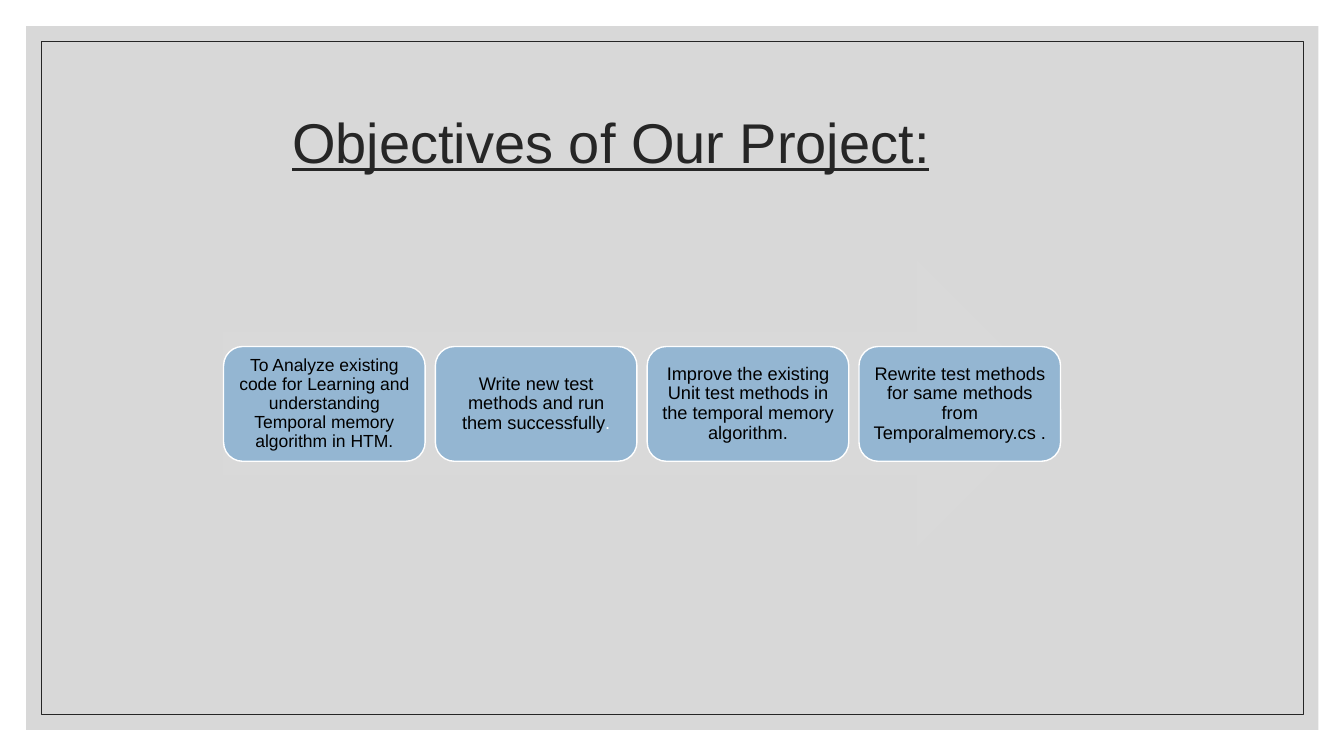
from lxml.etree import SubElement
from pptx import Presentation
from pptx.dml.color import RGBColor
from pptx.enum.shapes import MSO_SHAPE
from pptx.enum.text import MSO_ANCHOR, PP_ALIGN
from pptx.oxml.ns import qn
from pptx.util import Pt


class Deck:
    """Holds the style and the current slide, and draws each kind of element."""

    font = "Arial"
    hues = {"panel": "BFBFBF", "ink": "262626", "arrow": "D9D9D9",
            "card": "94B6D2", "white": "FFFFFF", "black": "000000"}

    def __init__(self, width, height):
        self.prs = Presentation()
        self.prs.slide_width, self.prs.slide_height = Pt(width), Pt(height)
        self.slide = self.prs.slides.add_slide(self.prs.slide_layouts[6])

    def hue(self, name):
        return RGBColor.from_string(self.hues[name])

    def shape(self, kind, box, fill=None, line=None, width=1, alpha=None):
        item = self.slide.shapes.add_shape(kind, *map(Pt, box))
        item.shadow.inherit = False
        if fill:
            item.fill.solid()
            item.fill.fore_color.rgb = self.hue(fill)
        else:
            item.fill.background()
        if alpha:
            color = item.fill._xPr.find(qn("a:solidFill"))[0]
            SubElement(color, qn("a:alpha"), val=str(alpha * 1000))
        if line:
            item.line.color.rgb = self.hue(line)
            item.line.width = Pt(width)
        else:
            item.line.fill.background()
        return item

    def style(self, run, size, color, under=None):
        run.font.name = self.font
        run.font.size = Pt(size)
        run.font.color.rgb = self.hue(color)
        run.font.underline = under

    def title(self, text, box):
        frame = self.slide.shapes.add_textbox(*map(Pt, box)).text_frame
        frame.word_wrap = True
        frame.vertical_anchor = MSO_ANCHOR.MIDDLE
        frame.text = text
        para = frame.paragraphs[0]
        para.line_spacing = 0.9
        self.style(para.runs[0], 40, "ink", True)

    def card(self, text, size, box, tail=""):
        item = self.shape(MSO_SHAPE.ROUNDED_RECTANGLE, box, "card", "white")
        frame = item.text_frame
        frame.word_wrap = True
        frame.vertical_anchor = MSO_ANCHOR.MIDDLE
        frame.margin_left = frame.margin_right = Pt(3.6)
        frame.margin_top = frame.margin_bottom = Pt(3.6)
        frame.text = text
        para = frame.paragraphs[0]
        para.alignment = PP_ALIGN.CENTER
        para.line_spacing = 0.9
        self.style(para.runs[0], size, "black")
        if tail:
            run = para.add_run()
            run.text = tail
            self.style(run, size, "white")


def main():
    deck = Deck(960, 540)
    deck.shape(MSO_SHAPE.RECTANGLE, (18.7, 18.7, 923, 502.6), "panel", alpha=60)
    deck.shape(MSO_SHAPE.RECTANGLE, (29.5, 29.5, 901.5, 481), line="ink", width=0.5)
    deck.title("Objectives of Our Project:", (201.6, 49.7, 489.6, 108))
    deck.shape(MSO_SHAPE.RIGHT_ARROW, (159.1, 185.8, 598.3, 204.5), "arrow")
    goals = [
        ("To Analyze existing code for Learning and understanding "
         "Temporal memory algorithm in HTM.", 12.5, ""),
        ("Write new test methods and run them successfully", 13, "."),
        ("Improve the existing Unit test methods in the temporal "
         "memory algorithm.", 13, ""),
        ("Rewrite test methods for same methods from Temporalmemory.cs .", 13, ""),
    ]
    for i, (text, size, tail) in enumerate(goals):
        deck.card(text, size, (159.7 + i * 151.3, 247.5, 144, 82), tail)
    deck.prs.save("out.pptx")


if __name__ == "__main__":
    main()
